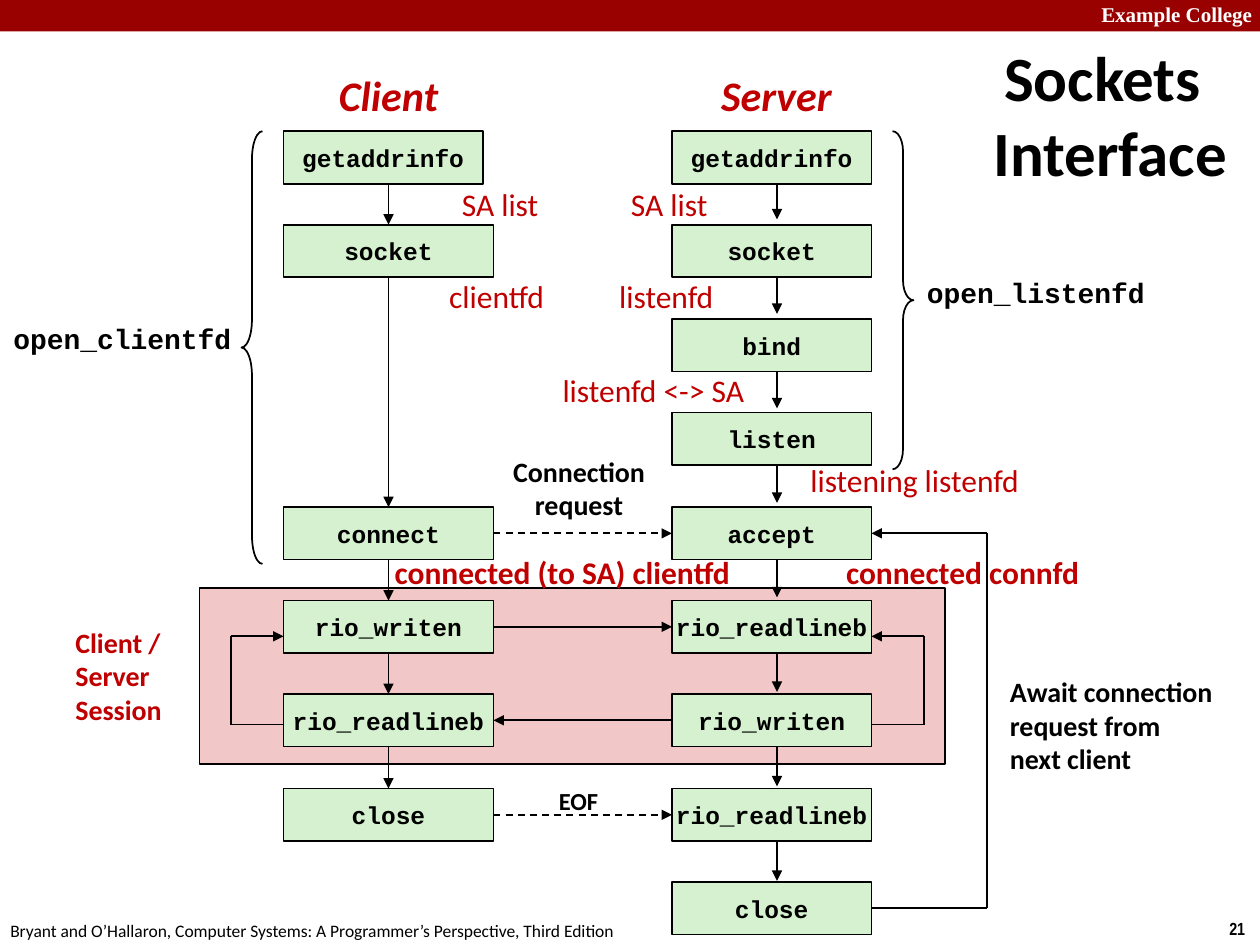
from itertools import pairwise

from lxml.etree import SubElement
from pptx import Presentation
from pptx.dml.color import RGBColor
from pptx.enum.dml import MSO_LINE
from pptx.enum.shapes import MSO_CONNECTOR, MSO_SHAPE
from pptx.enum.text import MSO_ANCHOR, MSO_AUTO_SIZE, PP_ALIGN
from pptx.oxml.ns import qn
from pptx.util import Pt

PX = 7620  # EMU per px, 120 px to the inch
color = RGBColor.from_string
BLACK, RED, WHITE = "000000", "C00000", "FFFFFF"
SANS, MONO = "Calibri", "Courier New"
LEFT, CENTER = PP_ALIGN.LEFT, PP_ALIGN.CENTER
TOP, MIDDLE = MSO_ANCHOR.TOP, MSO_ANCHOR.MIDDLE
BOTTOM_SIDE, LEFT_SIDE, RIGHT_SIDE, TOP_SIDE = 2, 1, 3, 0


def write_text(shape, text, font, size, hex_color=BLACK, bold=True, italic=False,
               align=CENTER, anchor=MIDDLE, wrap=False):
    frame = shape.text_frame
    frame.text = text
    frame.word_wrap = wrap
    frame.auto_size = MSO_AUTO_SIZE.NONE
    frame.vertical_anchor = anchor
    for paragraph in frame.paragraphs:
        paragraph.alignment = align
        paragraph.font.name = font
        paragraph.font.size = Pt(size)
        paragraph.font.bold = bold
        paragraph.font.italic = italic
        paragraph.font.color.rgb = color(hex_color)


def add_line(start, end, arrow=True, dashed=False):
    """Draw a black line between two (x, y) points in px."""
    line = slide.shapes.add_connector(
        MSO_CONNECTOR.STRAIGHT, *(round(value * PX) for value in (*start, *end)))
    line.line.color.rgb = color(BLACK)
    line.line.width = Pt(1)
    if dashed:
        line.line.dash_style = MSO_LINE.DASH
    if arrow:
        SubElement(line.line._get_or_add_ln(), qn("a:tailEnd"), type="triangle")
    SubElement(line._element.spPr, qn("a:effectLst"))
    return line


presentation = Presentation()
presentation.slide_width = 1200 * PX
presentation.slide_height = 900 * PX
slide = presentation.slides.add_slide(presentation.slide_layouts[5])

title = slide.shapes.title
title.left, title.top, title.width, title.height = (
    value * PX for value in (910, 30, 280, 157))
write_text(title, "Sockets Interface", SANS, 36, wrap=True)
title_properties = title.text_frame.paragraphs[0]._p.get_or_add_pPr()
title_properties.set("marL", str(15 * PX))
title_properties.set("indent", str(-15 * PX))

# Header band and the frame around the client/server session
for left, top, width, height, fill, outlined in [
    (0, 0, 1200, 30, "990000", False),
    (190, 560, 710, 168, "F1C7C7", True),
]:
    panel = slide.shapes.add_shape(
        MSO_SHAPE.RECTANGLE, left * PX, top * PX, width * PX, height * PX)
    panel.shadow.inherit = False
    panel.fill.solid()
    panel.fill.fore_color.rgb = color(fill)
    if outlined:
        panel.line.color.rgb = color(BLACK)
        panel.line.width = Pt(1)
    else:
        panel.line.fill.background()

# Function calls: both columns share one grid of rows
BOX_HEIGHT = 50
row_tops = [round(125 + 89.4 * row) for row in range(9)]
client_calls = {0: "getaddrinfo", 1: "socket", 4: "connect",
                5: "rio_writen", 6: "rio_readlineb", 7: "close"}
server_calls = dict(enumerate(["getaddrinfo", "socket", "bind", "listen", "accept",
                               "rio_readlineb", "rio_writen", "rio_readlineb", "close"]))
client, server = {}, {}
for boxes, calls, left, column_width in [
    (client, client_calls, 270, 200),
    (server, server_calls, 640, 190),
]:
    for row, call in calls.items():
        width = 190 if row == 0 else column_width
        box = slide.shapes.add_shape(MSO_SHAPE.RECTANGLE, left * PX, row_tops[row] * PX,
                                     width * PX, BOX_HEIGHT * PX)
        box.shadow.inherit = False
        box.fill.solid()
        box.fill.fore_color.rgb = color("D5F1CF")
        box.line.color.rgb = color(BLACK)
        box.line.width = Pt(1)
        write_text(box, call, MONO, 14)
        boxes[row] = box

# Downward flow in each column
for row, next_row in pairwise(client):
    arrow = add_line((370, row_tops[row] + BOX_HEIGHT), (370, row_tops[next_row]))
    if row > 0:
        arrow.begin_connect(client[row], BOTTOM_SIDE)
    arrow.end_connect(client[next_row], TOP_SIDE)
for row in range(8):
    add_line((740, row_tops[row] + BOX_HEIGHT), (740, 209 + 90 * row))

# Messages between client and server
for row, to_server, dashed in [
    (4, True, True), (5, True, False), (6, False, False), (7, True, True),
]:
    y = row_tops[row] + BOX_HEIGHT // 2
    message = add_line((470, y), (640, y), dashed=dashed)
    if to_server:
        message.begin_connect(client[row], RIGHT_SIDE)
        message.end_connect(server[row], LEFT_SIDE)
    else:
        message.begin_connect(server[row], LEFT_SIDE)
        message.end_connect(client[row], RIGHT_SIDE)

# Loops back to an earlier call
close_y, accept_y = (row_tops[row] + BOX_HEIGHT // 2 for row in (8, 4))
for box_side, outer, start_y, end_y, from_box, to_box in [
    (270, 220, 690, 606, None, None),
    (830, 880, 690, 606, None, None),
    (830, 940, close_y, accept_y, server[8], server[4]),
]:
    leaving = add_line((box_side, start_y), (outer, start_y), arrow=False)
    add_line((outer, start_y), (outer, end_y), arrow=False)
    returning = add_line((outer, end_y), (box_side, end_y))
    if from_box:
        leaving.begin_connect(from_box, RIGHT_SIDE)
        returning.end_connect(to_box, RIGHT_SIDE)

for brace_shape, left, height, curve in [
    (MSO_SHAPE.LEFT_BRACE, 230, 412, 1.33),
    (MSO_SHAPE.RIGHT_BRACE, 850, 322, 0.96),
]:
    brace = slide.shapes.add_shape(brace_shape, left * PX, 125 * PX, 20 * PX, height * PX)
    brace.shadow.inherit = False
    brace.adjustments[0] = curve
    brace.fill.background()
    brace.line.color.rgb = color(BLACK)
    brace.line.width = Pt(1)

heading = dict(font=SANS, size=24, hex_color=RED, italic=True)
helper_name = dict(font=MONO, size=16)
note = dict(font=SANS, size=16)
state = dict(font=SANS, size=18, hex_color=RED, bold=False, align=LEFT, anchor=TOP)
connected_state = state | dict(bold=True)
for text, left, top, width, height, style in [
    ("Client", 310, 60, 120, 60, heading),
    ("Server", 674, 60, 131, 60, heading),
    ("open_clientfd", 0, 300, 233, 44, helper_name),
    ("open_listenfd", 870, 256, 233, 44, helper_name),
    ("Connection\nrequest", 476, 426, 151, 77, note),
    ("EOF", 520, 742, 62, 41, note | dict(size=14)),
    ("Await connection\nrequest from\nnext client", 950, 636, 220, 109,
     note | dict(align=LEFT)),
    ("Client / Server\nSession", 60, 593, 110, 101,
     note | dict(hex_color=RED, align=LEFT, wrap=True)),
    ("SA list", 428, 170, 97, 48, state),
    ("SA list", 589, 170, 104, 48, state | dict(wrap=True)),
    ("clientfd", 416, 258, 119, 48, state),
    ("listenfd", 578, 258, 115, 48, state),
    ("listenfd <-> SA", 524, 347, 199, 48, state),
    ("listening listenfd", 760, 433, 230, 48, state),
    ("connected connfd", 794, 521, 257, 48, connected_state),
    ("connected (to SA) clientfd", 364, 521, 349, 48, connected_state),
    ("Example College", 1037, -4, 172, 36,
     dict(font="Times New Roman", size=12, hex_color=WHITE, align=LEFT, anchor=TOP)),
    ("21", 1159, 868, 41, 32, dict(font="Arial Narrow", size=10, align=LEFT, anchor=TOP)),
    ("Bryant and O’Hallaron, Computer Systems: A Programmer’s Perspective, Third Edition",
     -2, 870, 610, 32, dict(font=SANS, size=10, bold=False, align=LEFT, anchor=TOP)),
]:
    label = slide.shapes.add_textbox(left * PX, top * PX, width * PX, height * PX)
    write_text(label, text, **style)

presentation.save("out.pptx")
